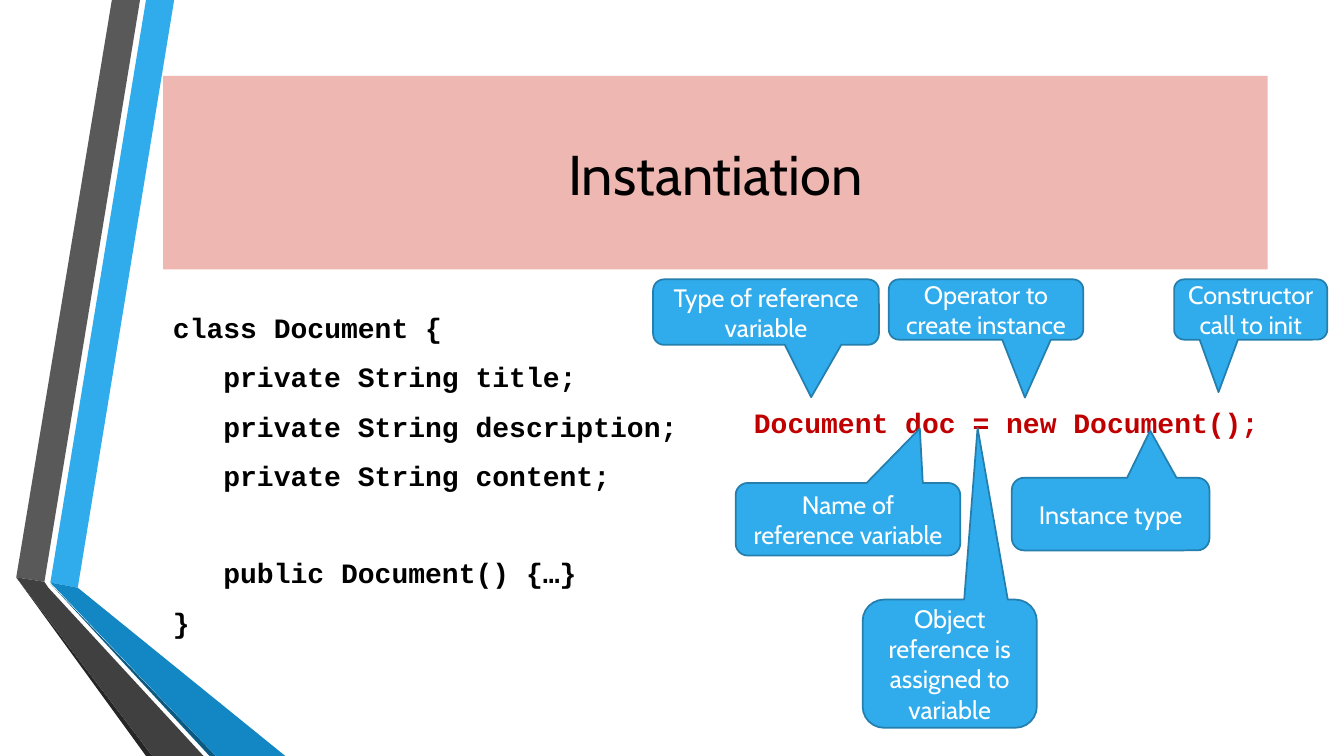
from pptx import Presentation
from pptx import util as u
from pptx.dml.color import RGBColor
from pptx.enum import shapes, text

BLUE = RGBColor(0x30, 0xAC, 0xEC)
OUTLINE_BLUE = RGBColor(0x24, 0x7F, 0xAF)
MID_BLUE = RGBColor(0x12, 0x87, 0xC3)
DARK_BLUE = RGBColor(0x0C, 0x5A, 0x82)
GREY = RGBColor(0x59, 0x59, 0x59)
DARK_GREY = RGBColor(0x40, 0x40, 0x40)
SHADE_GREY = RGBColor(0x26, 0x26, 0x26)
PINK = RGBColor(0xEF, 0xB7, 0xB1)
RED = RGBColor(0xC0, 0x00, 0x00)
BLACK = RGBColor(0, 0, 0)
WHITE = RGBColor(0xFF, 0xFF, 0xFF)

# Ribbon outlines in centimetres, from back to front
RIBBONS = [
    (BLUE, [(1.27, 14.68), (1.96, 14.81), (4.39, 0), (3.68, 0)]),
    (GREY, [(3.53, 0), (2.82, 0), (0.41, 14.55), (1.12, 14.66)]),
    (SHADE_GREY, [(0.41, 14.55), (3.68, 19.05), (3.84, 19.05)]),
    (DARK_BLUE, [(1.27, 14.71), (5.28, 19.05), (5.44, 19.05)]),
    (MID_BLUE, [(1.27, 14.68), (5.44, 19.05), (7.19, 19.05), (1.96, 14.81)]),
    (DARK_GREY, [(5.13, 19.05), (1.22, 14.81), (1.12, 14.66), (0.41, 14.55),
                 (3.84, 19.05)]),
]

# Code line, left indent (cm), space before (pt)
LINE_GAP, SECTION_GAP = 5.3, 39.3
CLASS_CODE = [
    ("class Document {", 0, 0),
    ("private String title;", 1.27, LINE_GAP),
    ("private String description;", 1.27, LINE_GAP),
    ("private String content;", 1.27, LINE_GAP),
    ("public Document() {…}", 1.27, SECTION_GAP),
    ("}", 0, LINE_GAP),
]

# Paragraphs, box (cm), pointer tip relative to the box centre
CALLOUTS = [
    (["Type of reference variable"], (16.46, 7.04, 5.69, 1.65), (0.2, 1.3)),
    (["Name of reference variable"], (18.54, 12.17, 5.66, 1.83), (0.32, -1.25)),
    (["Operator to", "create instance"], (22.4, 7.04, 4.9, 1.52), (0.2, 1.46)),
    (["Instance type"], (25.5, 12.04, 4.98, 1.83), (0.2, -1.15)),
    (["Constructor call to init"], (29.59, 7.04, 3.86, 1.52), (-0.21, 1.37)),
    (["Object reference is assigned to variable"], (21.74, 15.11, 4.39, 3.23),
     (0.16, -1.84)),
]


def write(para, words, *, font="Cabin", size=18, color=WHITE, bold=False,
          align=text.PP_ALIGN.CENTER, before=0, after=0, indent=0):
    para.alignment = align
    para.space_before, para.space_after = u.Pt(before), u.Pt(after)
    if indent:
        para._p.get_or_add_pPr().set("marL", str(u.Cm(indent)))
    span = para.add_run()
    span.text = words
    span.font.name, span.font.size = font, u.Pt(size)
    span.font.bold, span.font.color.rgb = bold, color


def paragraphs(frame, count):
    for _ in range(count - 1):
        frame.add_paragraph()
    return frame.paragraphs


class SlideBuilder:
    """Holds the page and the shared style of its elements."""

    code_style = dict(font="Courier New", size=20, bold=True,
                      align=text.PP_ALIGN.LEFT, after=6)

    def __init__(self, page):
        self.page = page

    def paint(self, shape, fill, line=None):
        shape.shadow.inherit = False
        shape.fill.solid()
        shape.fill.fore_color.rgb = fill
        if line is None:
            shape.line.fill.background()
        else:
            shape.line.color.rgb = line
            shape.line.width = u.Pt(1.25)

    def ribbon(self, fill, points):
        start, *rest = [(u.Cm(x), u.Cm(y)) for x, y in points]
        builder = self.page.shapes.build_freeform(*start)
        builder.add_line_segments(rest, close=True)
        self.paint(builder.convert_to_shape(), fill)

    def panel(self, kind, box, fill, line=None):
        shape = self.page.shapes.add_shape(kind, *map(u.Cm, box))
        self.paint(shape, fill, line)
        shape.text_frame.word_wrap = True
        shape.text_frame.vertical_anchor = text.MSO_ANCHOR.MIDDLE
        return shape

    def title(self, words, box):
        panel = self.panel(shapes.MSO_SHAPE.RECTANGLE, box, PINK)
        write(panel.text_frame.paragraphs[0], words, size=40, color=BLACK)

    def code(self, lines, box, color):
        frame = self.page.shapes.add_textbox(*map(u.Cm, box)).text_frame
        frame.word_wrap = True
        frame.margin_top = frame.margin_bottom = 0
        for para, (words, indent, before) in zip(paragraphs(frame, len(lines)), lines):
            write(para, words, color=color, indent=indent, before=before,
                  **self.code_style)

    def callout(self, lines, box, tip):
        shape = self.panel(shapes.MSO_SHAPE.ROUNDED_RECTANGULAR_CALLOUT, box,
                           BLUE, OUTLINE_BLUE)
        shape.adjustments[0], shape.adjustments[1] = tip
        for para, words in zip(paragraphs(shape.text_frame, len(lines)), lines):
            write(para, words)


def main():
    deck = Presentation()
    deck.slide_width, deck.slide_height = u.Cm(33.87), u.Cm(19.05)
    slide = SlideBuilder(deck.slides.add_slide(deck.slide_layouts[6]))

    # Side decoration
    for fill, points in RIBBONS:
        slide.ribbon(fill, points)

    # Title and code
    slide.title("Instantiation", (4.11, 1.91, 27.84, 4.88))
    slide.code(CLASS_CODE, (4.11, 7.82, 13.7, 8.2), BLACK)
    slide.code([("Document doc = new Document();", 0, 0)],
               (18.75, 10.21, 14.4, 0.9), RED)

    # Explanations of each part of the statement
    for lines, box, tip in CALLOUTS:
        slide.callout(lines, box, tip)

    deck.save("out.pptx")


if __name__ == "__main__":
    main()
